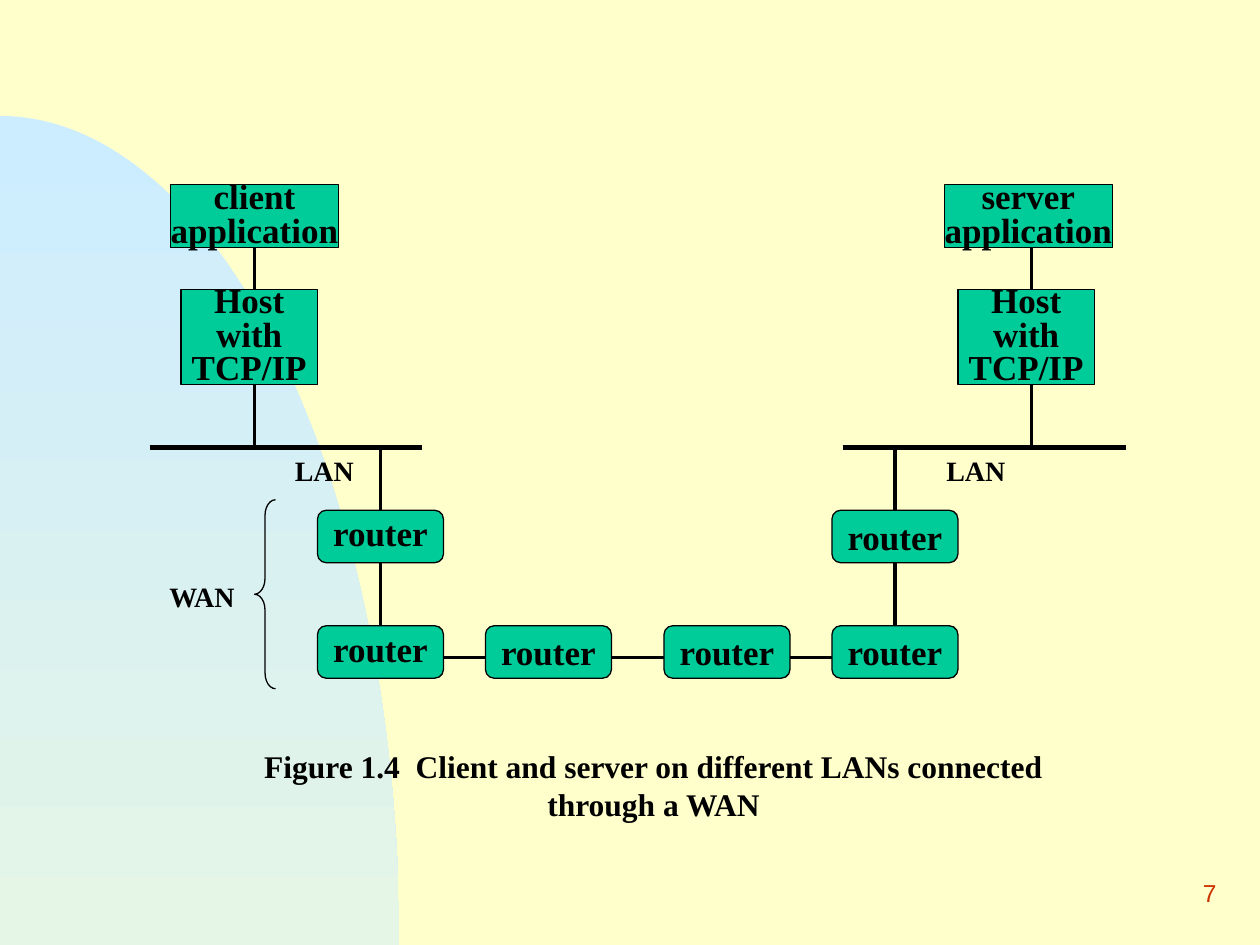
from dataclasses import dataclass
from math import cos, pi, sin

from lxml import etree
from pptx import Presentation
from pptx.dml.color import RGBColor
from pptx.enum.shapes import MSO_CONNECTOR, MSO_SHAPE
from pptx.enum.text import MSO_ANCHOR, PP_ALIGN
from pptx.oxml.ns import qn
from pptx.util import Inches, Pt

RECTANGLE = MSO_SHAPE.RECTANGLE
ROUNDED = MSO_SHAPE.ROUNDED_RECTANGLE
BRACE = MSO_SHAPE.LEFT_BRACE
STRAIGHT = MSO_CONNECTOR.STRAIGHT
TOP, MIDDLE = MSO_ANCHOR.TOP, MSO_ANCHOR.MIDDLE
CENTER, RIGHT = PP_ALIGN.CENTER, PP_ALIGN.RIGHT


@dataclass(frozen=True)
class Theme:
    paper: str = "FFFFCC"
    arc_top: str = "CCECFF"
    arc_bottom: str = "E5F5E6"
    node: str = "00CC99"
    ink: str = "000000"
    number: str = "CC3300"
    font: str = "Times New Roman"
    number_font: str = "Arial"
    node_size: float = 20
    label_size: float = 16
    caption_size: float = 18
    number_size: float = 14
    outline: float = 0.75
    wire: float = 1.75
    bus: float = 3


THEME = Theme()
WIDTH, HEIGHT = 10, 7.5
CELL = 1 / 12
LEFT_MARGIN, TOP_MARGIN = 0.02, 0.05
ARC_WIDTH, ARC_TOP = 3.17, 0.92
ARC_STEPS = 60

HOST = ["Host", "with", "TCP/IP"]
HOSTS = [
    (["client", "application"], 16, 17, 16, 6),
    (HOST, 17, 27, 13, 9),
    (["server", "application"], 89.7, 17, 16, 6),
    (HOST, 91, 27, 13, 9),
]
ROUTER_WIDTH, ROUTER_HEIGHT = 12, 5
ROUTERS = [(30, 48, 0.8), (30, 59, 0.8), (46, 59, 1), (63, 59, 1), (79, 48, 1), (79, 59, 1)]
BUS_ROW, LINK_ROW = 42, 62
BUSES = [(14, 40), (80, 107)]
HOST_WIRES = [24, 98]
ROUTER_WIRES = [36, 85]
LINKS = [(42, 46), (58, 63), (75, 79)]
BRACE_PLACE = (24, 47, 2, 18)
CAPTION = "Figure 1.4  Client and server on different LANs connected through a WAN"
LABELS = [
    ("LAN", 26, 42, 9.3, 4.4, THEME.label_size),
    ("LAN", 88, 42, 9.4, 4.4, THEME.label_size),
    ("WAN", 14, 54, 10, 4.4, THEME.label_size),
    (CAPTION, 19, 70, 86, 8.4, THEME.caption_size),
]
NUMBER_PLACE = (91.8, 81.4, 25, 6)


def color(value):
    return RGBColor.from_string(value)


def point(column, row):
    return Inches(LEFT_MARGIN + column * CELL), Inches(TOP_MARGIN + row * CELL)


def area(column, row, columns, rows):
    return *point(column, row), Inches(columns * CELL), Inches(rows * CELL)


def write(box, lines, size, ink=THEME.ink, font=THEME.font, bold=True,
          align=CENTER, anchor=MIDDLE, spacing=1, wrap=True):
    frame = box.text_frame
    frame.word_wrap = wrap
    frame.vertical_anchor = anchor
    for index, line in enumerate(lines):
        para = frame.add_paragraph() if index else frame.paragraphs[0]
        para.text = line
        para.alignment = align
        para.line_spacing = spacing
        para.font.name = font
        para.font.size = Pt(size)
        para.font.bold = bold
        para.font.color.rgb = color(ink)


def add_arc(page):
    angles = [pi / 2 * step / ARC_STEPS for step in range(ARC_STEPS + 1)]
    drop = HEIGHT - ARC_TOP
    curve = [(Inches(ARC_WIDTH * sin(angle)), Inches(HEIGHT - drop * cos(angle)))
             for angle in angles]
    builder = page.shapes.build_freeform(0, Inches(HEIGHT))
    builder.add_line_segments(curve, close=True)
    arc = builder.convert_to_shape()
    arc.shadow.inherit = False
    arc.line.fill.background()
    arc.fill.gradient()
    arc.fill.gradient_angle = 270
    for stop, value in zip(arc.fill.gradient_stops, (THEME.arc_top, THEME.arc_bottom)):
        stop.color.rgb = color(value)


def add_outline(page, kind, place):
    shape = page.shapes.add_shape(kind, *area(*place))
    shape.shadow.inherit = False
    shape.line.color.rgb = color(THEME.ink)
    shape.line.width = Pt(THEME.outline)
    return shape


def add_node(page, kind, lines, place, spacing):
    node = add_outline(page, kind, place)
    node.fill.solid()
    node.fill.fore_color.rgb = color(THEME.node)
    write(node, lines, THEME.node_size, spacing=spacing, wrap=False)


def add_wire(page, start, end, width=THEME.wire):
    wire = page.shapes.add_connector(STRAIGHT, *point(*start), *point(*end))
    wire.line.color.rgb = color(THEME.ink)
    wire.line.width = Pt(width)
    etree.SubElement(wire._element.spPr, qn("a:effectLst"))


def main():
    deck = Presentation()
    deck.slide_width, deck.slide_height = Inches(WIDTH), Inches(HEIGHT)
    page = deck.slides.add_slide(deck.slide_layouts[6])
    page.background.fill.solid()
    page.background.fill.fore_color.rgb = color(THEME.paper)
    add_arc(page)

    for lines, *place in HOSTS:
        add_node(page, RECTANGLE, lines, place, 0.8)
    for start, end in BUSES:
        add_wire(page, (start, BUS_ROW), (end, BUS_ROW), THEME.bus)
    for columns, spans in (
        (HOST_WIRES, [(23, 27), (36, BUS_ROW)]),
        (ROUTER_WIRES, [(BUS_ROW, 48), (53, 59)]),
    ):
        for column in columns:
            for top, bottom in spans:
                add_wire(page, (column, top), (column, bottom))
    for start, end in LINKS:
        add_wire(page, (start, LINK_ROW), (end, LINK_ROW))
    for column, row, spacing in ROUTERS:
        place = (column, row, ROUTER_WIDTH, ROUTER_HEIGHT)
        add_node(page, ROUNDED, ["router"], place, spacing)

    brace = add_outline(page, BRACE, BRACE_PLACE)
    brace.fill.background()
    brace.adjustments[0] = 0.75

    for text, *place, size in LABELS:
        label = page.shapes.add_textbox(*area(*place))
        write(label, [text], size, anchor=TOP)
    number = page.shapes.add_textbox(*area(*NUMBER_PLACE))
    write(number, ["7"], THEME.number_size, THEME.number, THEME.number_font, False, RIGHT)
    deck.save("out.pptx")


if __name__ == "__main__":
    main()
